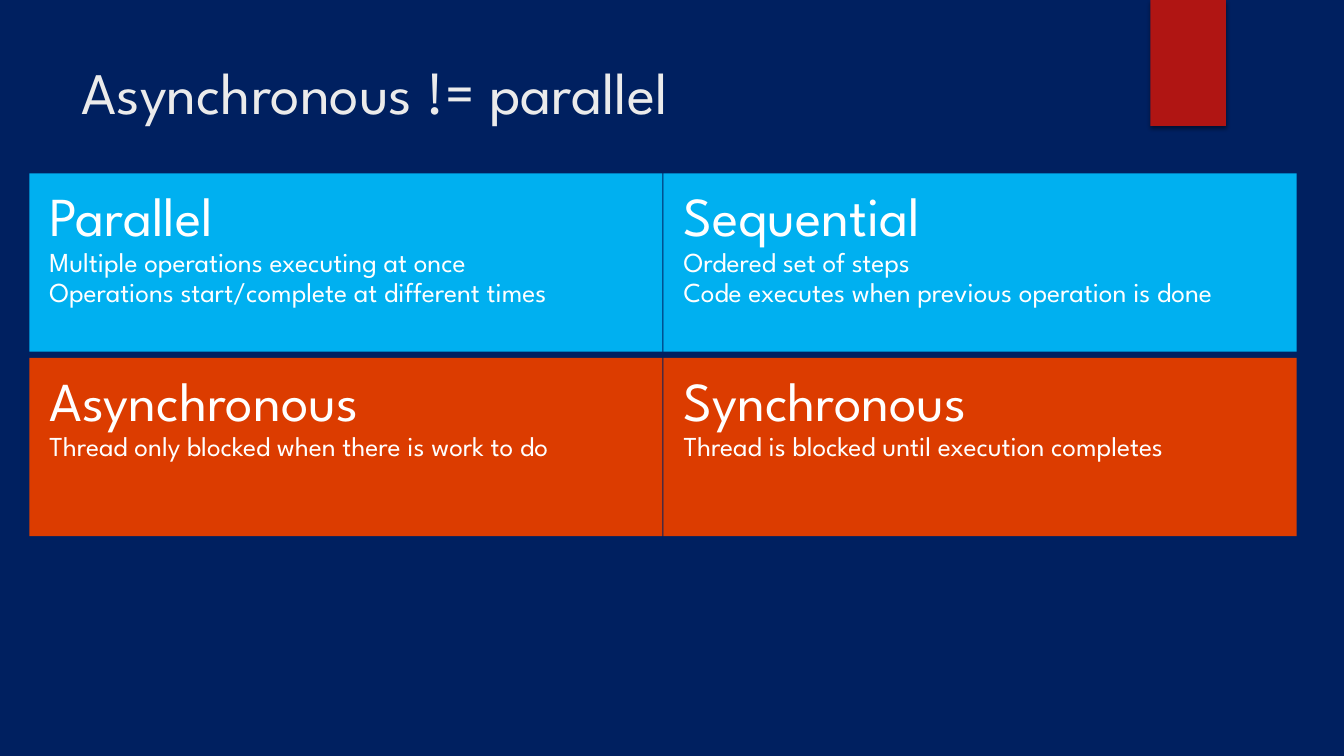
from lxml import etree
from pptx import Presentation
from pptx.dml.color import RGBColor
from pptx.enum.shapes import MSO_SHAPE
from pptx.enum.text import MSO_ANCHOR, PP_ALIGN
from pptx.oxml.ns import qn
from pptx.util import Inches, Pt

FONT = "League Spartan"
NAVY, RED, BLUE, ORANGE = "002060", "B01513", "00B0F0", "DC3C00"
WHITE, PALE = "FFFFFF", "EBEBEB"

LEFT, TOP = 0.29, 1.72
PANEL_W, PANEL_H = 6.28, 1.77
COL_STEP, ROW_STEP = 6.29, 1.83

ROWS = [
    (BLUE, [
        ("Parallel", ["Multiple operations executing at once",
                      "Operations start/complete at different times"]),
        ("Sequential", ["Ordered set of steps",
                        "Code executes when previous operation is done"]),
    ]),
    (ORANGE, [
        ("Asynchronous", ["Thread only blocked when there is work to do"]),
        ("Synchronous", ["Thread is blocked until execution completes"]),
    ]),
]


def rgb(value):
    return RGBColor.from_string(value)


def add_run(p, text, size, color):
    r = p.add_run()
    r.text = text
    r.font.name = FONT
    r.font.size = Pt(size)
    r.font.color.rgb = rgb(color)


def add_rect(s, x, y, w, h, color):
    sp = s.shapes.add_shape(MSO_SHAPE.RECTANGLE, Inches(x), Inches(y),
                            Inches(w), Inches(h))
    sp.fill.solid()
    sp.fill.fore_color.rgb = rgb(color)
    sp.line.fill.background()
    sp.shadow.inherit = False
    return sp


def add_drop_shadow(sp):
    effects = sp.element.spPr.find(qn("a:effectLst"))
    shadow = etree.SubElement(effects, qn("a:outerShdw"), blurRad=str(Pt(3)),
                              dist=str(Pt(2)), dir="5400000", rotWithShape="0")
    color = etree.SubElement(shadow, qn("a:srgbClr"), val="000000")
    etree.SubElement(color, qn("a:alpha"), val="45000")


def set_title(s, text):
    title = s.shapes.title
    title.left, title.top = Inches(0.71), Inches(0.5)
    title.width, title.height = Inches(10.29), Inches(1.53)
    tf = title.text_frame
    tf.word_wrap = True
    tf.vertical_anchor = MSO_ANCHOR.TOP
    p = tf.paragraphs[0]
    p.alignment = PP_ALIGN.LEFT
    add_run(p, text, 42, PALE)


def add_panel(s, x, y, color, heading, lines):
    tf = add_rect(s, x, y, PANEL_W, PANEL_H, color).text_frame
    tf.word_wrap = True
    tf.vertical_anchor = MSO_ANCHOR.TOP
    tf.margin_left = tf.margin_right = Inches(0.2)
    tf.margin_top = tf.margin_bottom = Inches(0.16)
    for i, text in enumerate([heading, *lines]):
        p = tf.add_paragraph() if i else tf.paragraphs[0]
        p.alignment = PP_ALIGN.LEFT
        p.line_spacing = 0.9
        add_run(p, text, 19.6 if i else 39.2, WHITE)


def main():
    prs = Presentation()
    prs.slide_width, prs.slide_height = Inches(13.33), Inches(7.5)
    s = prs.slides.add_slide(prs.slide_layouts.get_by_name("Title Only"))
    s.background.fill.solid()
    s.background.fill.fore_color.rgb = rgb(NAVY)

    add_drop_shadow(add_rect(s, 11.41, 0, 0.75, 1.25, RED))
    set_title(s, "Asynchronous != parallel")
    for row, (color, panels) in enumerate(ROWS):
        for col, (heading, lines) in enumerate(panels):
            add_panel(s, LEFT + col * COL_STEP, TOP + row * ROW_STEP,
                      color, heading, lines)
    prs.save("out.pptx")


if __name__ == "__main__":
    main()
